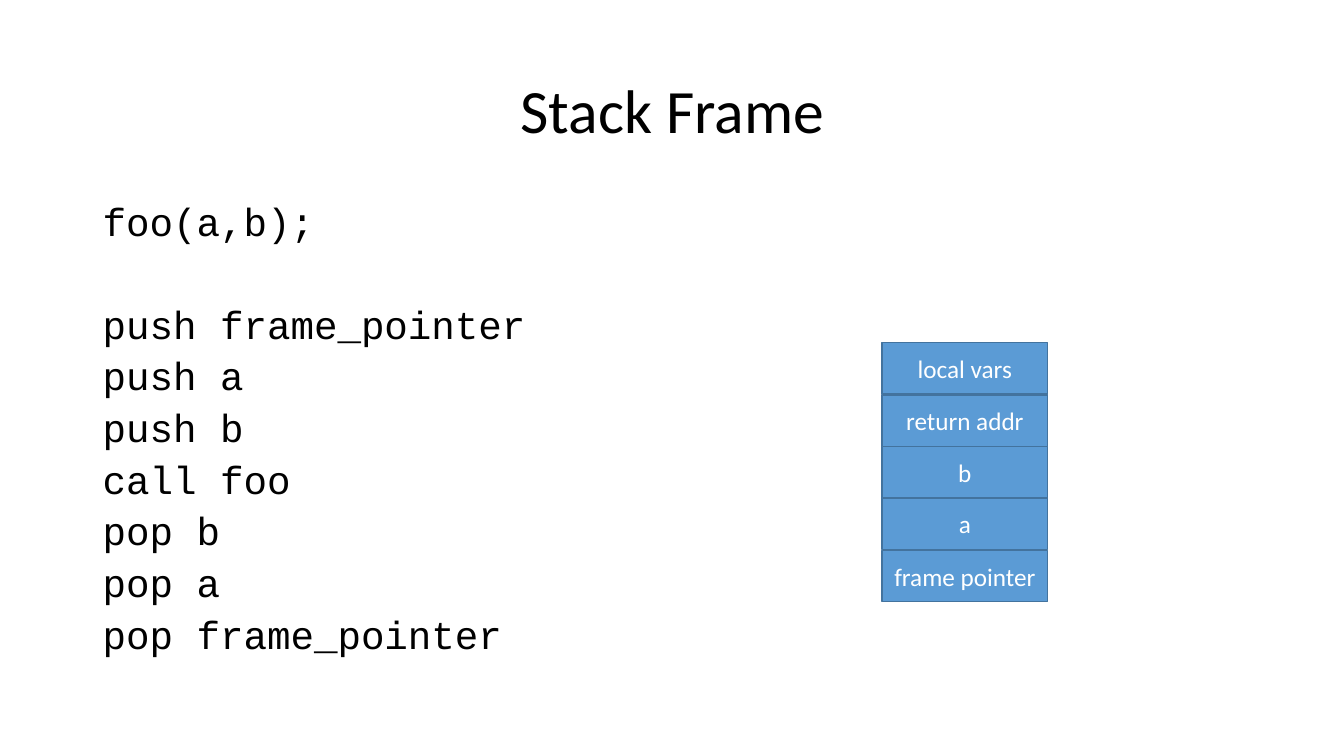
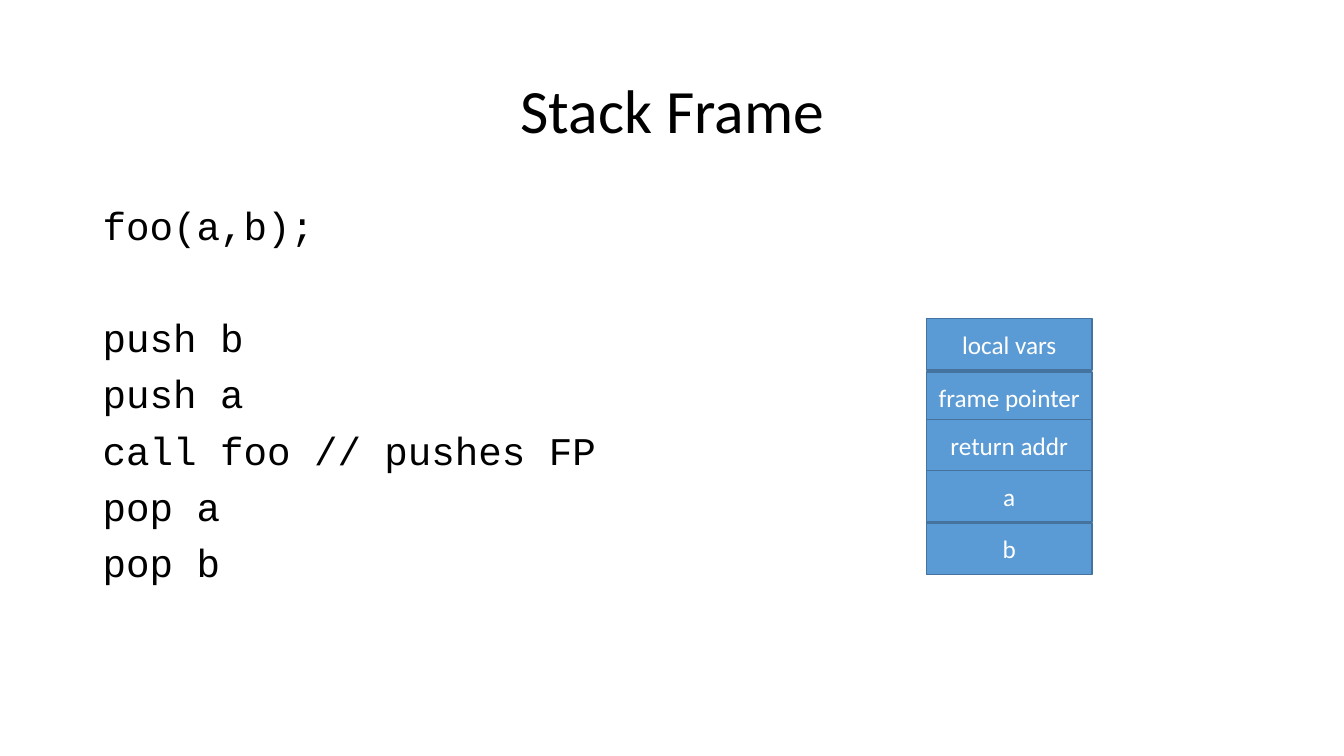
"""Build two slides that show the stack frame of a function call."""
from dataclasses import dataclass

from pptx import Presentation
from pptx import util as u
from pptx.dml.color import RGBColor
from pptx.enum import shapes, text
from pptx.slide import Slide
from pptx.text.text import _Paragraph

BLACK = RGBColor(0x00, 0x00, 0x00)
WHITE = RGBColor(0xFF, 0xFF, 0xFF)
BLUE = RGBColor(0x5B, 0x9B, 0xD5)
DARK_BLUE = RGBColor(0x43, 0x73, 0x9E)
BODY_FONT = "Calibri"
CODE_FONT = "Courier New"
CELL_W, CELL_H = 1.64, 0.51
CODE_GAP = 10
CODE_LINE = 33


@dataclass(frozen=True)
class Cell:
    label: str
    top: float


@dataclass(frozen=True)
class Frame:
    call: str
    steps: tuple[str, ...]
    spacing: float
    left: float
    cells: tuple[Cell, ...]


FRAMES = (
    Frame(
        "foo(a,b);",
        ("push frame_pointer", "push a", "push b", "call foo",
         "pop b", "pop a", "pop frame_pointer"),
        0.8,
        8.75,
        (Cell("local vars", 3.4), Cell("return addr", 3.92), Cell("b", 4.43),
         Cell("a", 4.94), Cell("frame pointer", 5.46)),
    ),
    Frame(
        "foo(a,b);",
        ("push b", "push a", "call foo // pushes FP", "pop a", "pop b"),
        0.9,
        9.19,
        (Cell("local vars", 3.16), Cell("frame pointer", 3.69),
         Cell("return addr", 4.16), Cell("a", 4.67), Cell("b", 5.19)),
    ),
)


def add_run(p: _Paragraph, words: str, size: float, font: str, color: RGBColor) -> None:
    """Append one styled run to a paragraph."""
    r = p.add_run()
    r.text = words
    r.font.size = u.Pt(size)
    r.font.name = font
    r.font.color.rgb = color


def add_title(s: Slide, words: str) -> None:
    """Add the centred slide title."""
    tf = s.shapes.add_textbox(
        u.Inches(0.92), u.Inches(0.4), u.Inches(11.5), u.Inches(1.45)
    ).text_frame
    tf.word_wrap = True
    tf.vertical_anchor = text.MSO_ANCHOR.MIDDLE
    p = tf.paragraphs[0]
    p.alignment = text.PP_ALIGN.CENTER
    p.line_spacing = 0.9
    add_run(p, words, 44, BODY_FONT, BLACK)


def add_code(s: Slide, frame: Frame) -> None:
    """Add the call and, one line lower, the steps it compiles to."""
    tf = s.shapes.add_textbox(
        u.Inches(0.92), u.Inches(2), u.Inches(5.67), u.Inches(4.76)
    ).text_frame
    tf.word_wrap = True
    for i, line in enumerate((frame.call, *frame.steps)):
        p = tf.paragraphs[0] if i == 0 else tf.add_paragraph()
        p.line_spacing = frame.spacing
        skipped = CODE_GAP + CODE_LINE * frame.spacing if i == 1 else 0
        p.space_before = u.Pt(CODE_GAP + skipped)
        add_run(p, line, 28, CODE_FONT, BLACK)


def add_cell(s: Slide, cell: Cell, left: float) -> None:
    """Add one labelled cell of the stack."""
    sp = s.shapes.add_shape(
        shapes.MSO_SHAPE.RECTANGLE,
        u.Inches(left), u.Inches(cell.top), u.Inches(CELL_W), u.Inches(CELL_H),
    )
    sp.shadow.inherit = False
    sp.fill.solid()
    sp.fill.fore_color.rgb = BLUE
    sp.line.color.rgb = DARK_BLUE
    sp.line.width = u.Pt(1)
    tf = sp.text_frame
    tf.word_wrap = True
    tf.vertical_anchor = text.MSO_ANCHOR.MIDDLE
    p = tf.paragraphs[0]
    p.alignment = text.PP_ALIGN.CENTER
    add_run(p, cell.label, 18, BODY_FONT, WHITE)


def main() -> None:
    """Draw every frame on its own slide and save the file."""
    prs = Presentation()
    prs.slide_width, prs.slide_height = u.Inches(13.33), u.Inches(7.5)
    for frame in FRAMES:
        s = prs.slides.add_slide(prs.slide_layouts[6])
        add_title(s, "Stack Frame")
        add_code(s, frame)
        for cell in frame.cells:
            add_cell(s, cell, frame.left)
    prs.save("out.pptx")


main()
